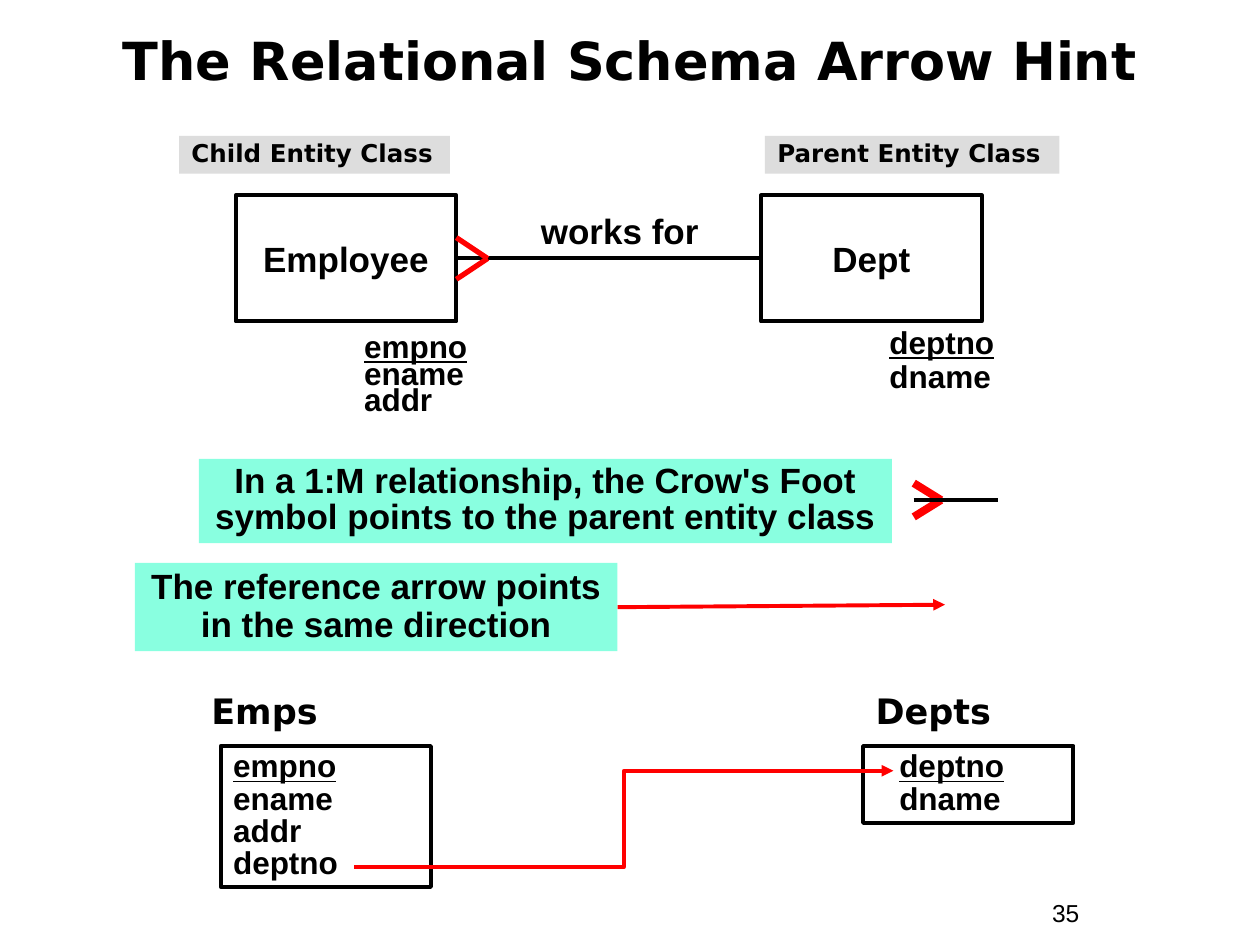
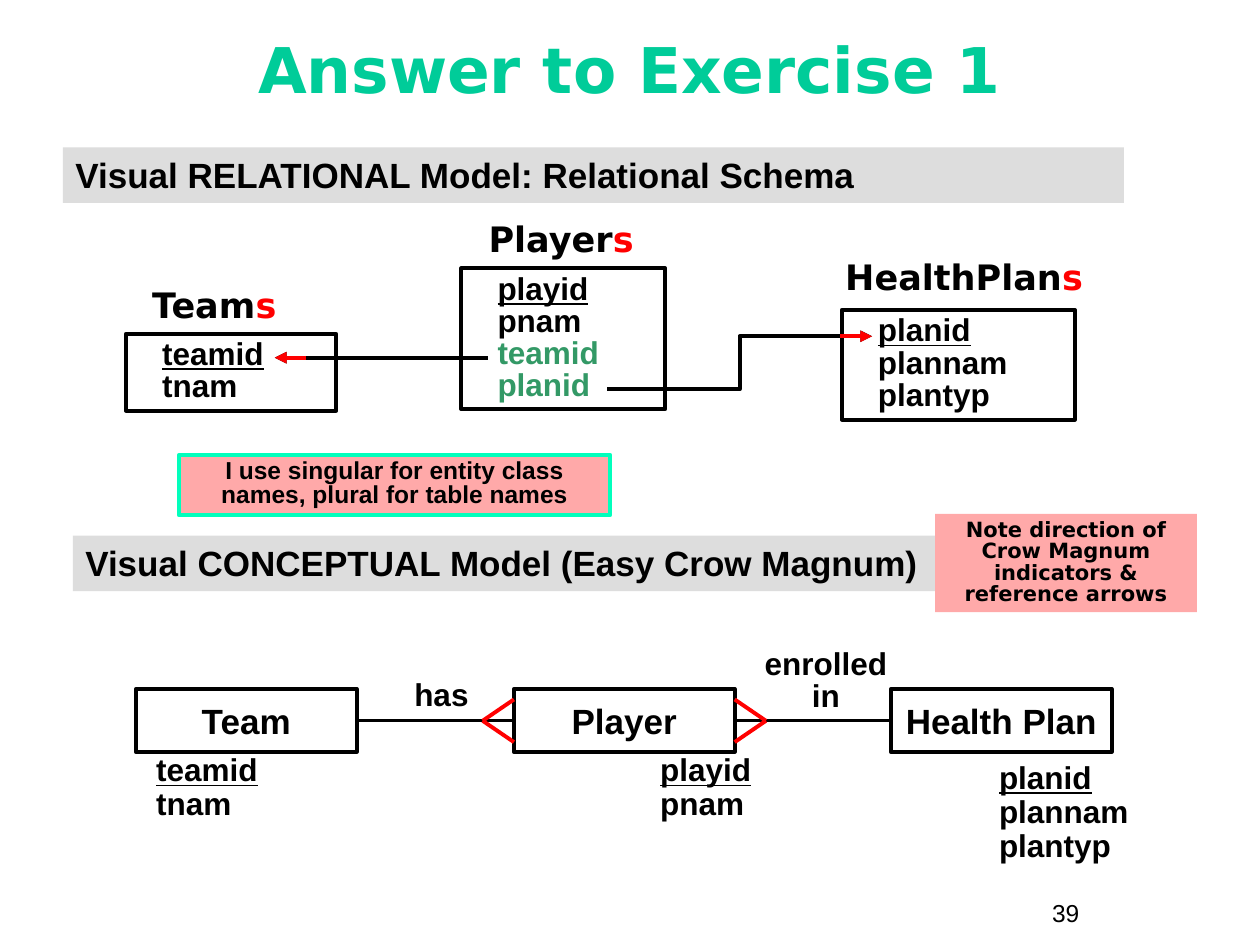
from lxml import etree
from pptx import Presentation
from pptx import util as u
from pptx.dml.color import RGBColor
from pptx.enum import shapes, text
from pptx.oxml import ns

COLORS = {
    "black": "000000",
    "red": "FF0000",
    "title_green": "00CC99",
    "foreign_key": "339966",
    "band": "DDDDDD",
    "mint": "89FFE0",
    "pink": "FFA9A9",
    "aqua": "01FFBC",
}
SANS = "Arial"
HEADING = "DejaVu Sans"
CENTER = text.PP_ALIGN.CENTER
TOP, MIDDLE = text.MSO_ANCHOR.TOP, text.MSO_ANCHOR.MIDDLE
LEFT_SIDE, RIGHT_SIDE = 1, 3
LINE_WIDTH = 2.25
BREAK = "\n"


def color(name):
    return RGBColor.from_string(COLORS[name])


def set_attributes(target, values):
    for name, value in values.items():
        setattr(target, name, value)


def write(shape, lines, size=18, font=SANS, bold=True, ink="black",
          align=None, spacing=None, frame=None):
    text_frame = shape.text_frame
    set_attributes(text_frame, {"word_wrap": True, "vertical_anchor": TOP, **(frame or {})})
    for index, runs in enumerate(lines):
        paragraph = text_frame.paragraphs[0] if index == 0 else text_frame.add_paragraph()
        set_attributes(paragraph, {"alignment": align or text.PP_ALIGN.LEFT, "line_spacing": spacing})
        for content, changes in runs:
            if content == BREAK:
                paragraph.add_line_break()
                continue
            run = paragraph.add_run()
            run.text = content
            values = {"name": font, "size": u.Pt(size), "bold": bold, **changes}
            run_ink = values.pop("ink", ink)
            set_attributes(run.font, values)
            run.font.color.rgb = color(run_ink)


def plain(content):
    return [[(content, {})]]


def attributes(key, *others, foreign=()):
    lines = [[(key, {"underline": True})]]
    lines += [[(name, {})] for name in others]
    lines += [[(name, {"ink": "foreign_key"})] for name in foreign]
    return lines


def add_label(slide, place, lines, **style):
    shape = slide.shapes.add_textbox(*map(u.Cm, place))
    write(shape, lines, **style)
    return shape


def add_box(slide, place, lines, fill=None, outline=None, **style):
    shape = slide.shapes.add_shape(shapes.MSO_SHAPE.RECTANGLE, *map(u.Cm, place))
    shape.shadow.inherit = False
    if fill:
        shape.fill.solid()
        shape.fill.fore_color.rgb = color(fill)
    else:
        shape.fill.background()
    if outline:
        shape.line.color.rgb = color(outline)
        shape.line.width = u.Pt(LINE_WIDTH)
    else:
        shape.line.fill.background()
    write(shape, lines, **style)
    return shape


def add_line(slide, start, end, ink="black", width=LINE_WIDTH, arrow=False, bent=False):
    kind = shapes.MSO_CONNECTOR.ELBOW if bent else shapes.MSO_CONNECTOR.STRAIGHT
    connector = slide.shapes.add_connector(kind, *map(u.Cm, (*start, *end)))
    connector.line.color.rgb = color(ink)
    connector.line.width = u.Pt(width)
    if arrow:
        etree.SubElement(connector.line._get_or_add_ln(), ns.qn("a:tailEnd"), type="triangle")
    etree.SubElement(connector._element.spPr, ns.qn("a:effectLst"))
    return connector


def add_relationship(slide, left_entity, right_entity):
    connector = add_line(slide, (0, 0), (1, 1))
    connector.begin_connect(left_entity, RIGHT_SIDE)
    connector.end_connect(right_entity, LEFT_SIDE)


def add_crow_foot(slide, tip, base, middle, spread, width=LINE_WIDTH):
    for toe in (middle - spread, middle + spread):
        add_line(slide, (tip, middle), (base, toe), "red", width)


def add_entity(slide, place, name):
    frame = {"word_wrap": False, "vertical_anchor": MIDDLE}
    return add_box(slide, place, plain(name), outline="black", size=20, align=CENTER, frame=frame)


def add_table_box(slide, place, lines, indent=0.48):
    frame = {"margin_left": u.Cm(0.25 + indent)}
    add_box(slide, place, lines, outline="black", spacing=0.85, frame=frame)


def add_table_name(slide, place, name, plural=""):
    runs = [(name, {})] + ([(plural, {"ink": "red"})] if plural else [])
    add_label(slide, place, [runs], size=20, font=HEADING)


def add_note(slide, place, content, fill, **style):
    return add_box(slide, place, plain(content), fill=fill, align=CENTER, **style)


def start_slide(presentation, title, place, size, ink, number):
    slide = presentation.slides.add_slide(presentation.slide_layouts[6])
    add_label(slide, (20.96, 17.98, 2.34, 0.86), plain(number), size=14, bold=False)
    add_label(slide, place, plain(title), size=size, font=HEADING, ink=ink,
              align=CENTER, frame={"vertical_anchor": MIDDLE})
    return slide


def build_arrow_hint(presentation):
    slide = start_slide(presentation, "The Relational Schema Arrow Hint",
                        (0.64, 0.46, 24.13, 1.47), 30, "black", "35")

    employee, dept = [add_entity(slide, (left, 3.94, 4.45, 2.54), name)
                      for left, name in ((4.75, "Employee"), (15.34, "Dept"))]
    add_relationship(slide, employee, dept)
    add_crow_foot(slide, 9.83, 9.2, 5.21, 0.42, 3)
    add_label(slide, (10.49, 4.09, 4.01, 1.12), plain("works for"), size=20, align=CENTER)
    add_label(slide, (17.68, 6.48, 2.97, 1.63), attributes("deptno", "dname"), spacing=0.9)
    add_label(slide, (7.09, 6.68, 2.97, 1.85), attributes("empno", "ename", "addr"), spacing=0.7)

    add_table_name(slide, (4.01, 13.77, 5.46, 1.12), "Emps")
    add_table_box(slide, (4.45, 15.04, 4.24, 2.84),
                  attributes("empno", "ename", "addr", "deptno"), indent=0)
    add_table_name(slide, (17.4, 13.77, 5.46, 1.12), "Depts")
    add_table_box(slide, (17.4, 15.04, 4.24, 1.55), attributes("deptno", "dname"))
    add_line(slide, (7.14, 17.48), (18.01, 15.54), "red", arrow=True, bent=True)

    for left, width, name in ((3.61, 5.46, "Child Entity Class"), (15.42, 5.94, "Parent Entity Class")):
        add_box(slide, (left, 2.74, width, 0.76), plain(name), fill="band",
                size=14, font=HEADING, spacing=0.85)

    add_crow_foot(slide, 18.97, 18.42, 10.08, 0.34, 4.5)
    add_line(slide, (18.42, 10.08), (20.12, 10.08))
    add_note(slide, (4.01, 9.25, 13.97, 1.7),
             "In a 1:M relationship, the Crow's Foot symbol points to the parent entity class",
             "mint", size=20, spacing=0.85)
    reference_note = add_note(slide, (2.72, 11.35, 9.73, 1.78),
                              "The reference arrow points in the same direction",
                              "mint", size=20, spacing=0.9)
    reference_arrow = add_line(slide, (12.45, 12.24), (19.05, 12.19), "red", arrow=True)
    reference_arrow.begin_connect(reference_note, RIGHT_SIDE)


def build_exercise_answer(presentation):
    slide = start_slide(presentation, "Answer to Exercise 1",
                        (0.84, 0.2, 23.7, 2.34), 36, "title_green", "39")

    for left, top, heading in ((1.47, 10.8, "Visual CONCEPTUAL Model (Easy Crow Magnum)"),
                               (1.27, 2.97, "Visual RELATIONAL Model: Relational Schema")):
        add_box(slide, (left, top, 21.39, 1.12), plain(heading), fill="band", size=20)

    team, player, health_plan = [
        add_entity(slide, (left, 13.89, 4.45, 1.27), name)
        for left, name in ((2.74, "Team"), (10.36, "Player"), (17.96, "Health Plan"))]
    add_relationship(slide, team, player)
    add_relationship(slide, player, health_plan)
    add_crow_foot(slide, 15.44, 14.81, 14.53, 0.43)
    add_crow_foot(slide, 9.73, 10.36, 14.53, 0.43)
    relation = {"align": CENTER, "spacing": 0.85}
    add_label(slide, (6.78, 13.61, 4.24, 0.91), plain("has"), **relation)
    add_label(slide, (14.53, 12.98, 4.24, 1.55),
              [[("enrolled", {}), (BREAK, {}), ("in", {})]], **relation)
    for place, lines in (
            ((2.9, 15.09, 3.66, 1.63), attributes("teamid", "tnam")),
            ((13.06, 15.09, 3.66, 1.63), attributes("playid", "pnam")),
            ((19.89, 15.24, 3.66, 2.31), attributes("planid", "plannam", "plantyp"))):
        add_label(slide, place, lines, spacing=0.9)

    for name, name_place, box_place, lines in (
            ("HealthPlan", (16.79, 5.03, 5.69, 1.12), (16.97, 6.25, 4.7, 2.21),
             attributes("planid", "plannam", "plantyp")),
            ("Player", (9.6, 4.27, 3.45, 1.12), (9.3, 5.41, 4.11, 2.84),
             attributes("playid", "pnam", foreign=("teamid", "planid"))),
            ("Team", (2.82, 5.59, 3.81, 1.12), (2.54, 6.73, 4.24, 1.55),
             attributes("teamid", "tnam"))):
        add_table_name(slide, name_place, name, "s")
        add_table_box(slide, box_place, lines)

    team_key, plan_key = (5.54, 7.21), (17.58, 6.78)
    add_line(slide, (12.24, 7.85), plan_key, arrow=True, bent=True)
    add_line(slide, (9.83, 7.21), team_key, arrow=True)
    add_line(slide, (6.17, 7.21), team_key, "red", arrow=True)
    add_line(slide, (16.94, 6.78), plan_key, "red", arrow=True)

    add_note(slide, (18.85, 10.36, 5.28, 1.98),
             "Note direction of Crow Magnum indicators & reference arrows",
             "pink", size=12, font=HEADING, spacing=0.85)
    add_note(slide, (3.61, 9.17, 8.69, 1.22),
             "I use singular for entity class names, plural for table names",
             "pink", outline="aqua", size=14, spacing=0.8)


def main():
    presentation = Presentation()
    set_attributes(presentation, {"slide_width": u.Cm(25.4), "slide_height": u.Cm(19.05)})
    build_arrow_hint(presentation)
    build_exercise_answer(presentation)
    presentation.save("out.pptx")


if __name__ == "__main__":
    main()
